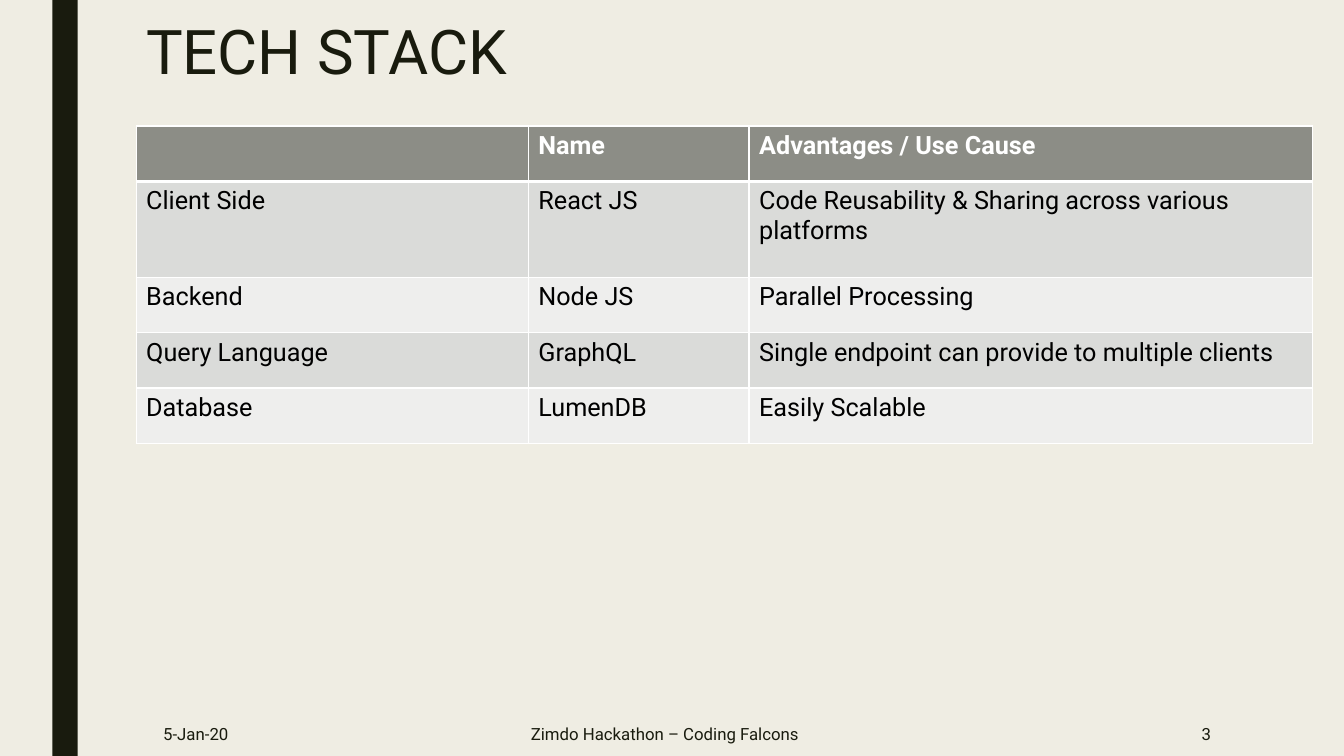
from pptx import Presentation
from pptx.dml.color import RGBColor
from pptx.enum.shapes import MSO_SHAPE
from pptx.enum.text import MSO_ANCHOR, MSO_AUTO_SIZE, PP_ALIGN
from pptx.oxml import parse_xml
from pptx.oxml.ns import nsdecls
from pptx.util import Inches, Pt

CREAM = RGBColor(0xEF, 0xED, 0xE3)
INK = RGBColor(0x19, 0x1B, 0x0E)
HEADER = RGBColor(0x8C, 0x8D, 0x86)
BAND_DARK = RGBColor(0xDA, 0xDB, 0xD9)
BAND_LIGHT = RGBColor(0xEE, 0xEE, 0xED)
WHITE = RGBColor(0xFF, 0xFF, 0xFF)
BLACK = RGBColor(0, 0, 0)


def write(tf, text, size, color, bold=False, align=PP_ALIGN.LEFT):
    p = tf.paragraphs[0]
    p.alignment = align
    r = p.add_run()
    r.text = text
    for name, value in {"name": "Roboto", "size": Pt(size), "bold": bold}.items():
        setattr(r.font, name, value)
    r.font.color.rgb = color
    return p


def add_border(cell, side, width):
    cell._tc.get_or_add_tcPr().append(parse_xml(
        f'<a:ln{side} {nsdecls("a")} w="{Pt(width)}"><a:solidFill>'
        f'<a:srgbClr val="{WHITE}"/></a:solidFill></a:ln{side}>'))


prs = Presentation()
prs.slide_width, prs.slide_height = Inches(13.33), Inches(7.5)
s = prs.slides.add_slide(prs.slide_layouts[5])
s.background.fill.solid()
s.background.fill.fore_color.rgb = CREAM

bar = s.shapes.add_shape(MSO_SHAPE.RECTANGLE, Inches(0.52), 0, Inches(0.25), prs.slide_height)
bar.shadow.inherit = False
bar.fill.solid()
bar.fill.fore_color.rgb = INK
bar.line.fill.background()

left = Inches(1.35)
title = s.shapes.title
box = {"left": left, "top": Inches(0.17), "width": Inches(11.47), "height": Inches(0.84)}
for name, value in box.items():
    setattr(title, name, value)
tf = title.text_frame
for name, value in {"vertical_anchor": MSO_ANCHOR.TOP, "auto_size": MSO_AUTO_SIZE.NONE,
                    "word_wrap": True}.items():
    setattr(tf, name, value)
write(tf, "TECH STACK", 44, INK).line_spacing = 0.89

footer_h = Inches(0.44)
footers = [
    ("5-Jan-20", 1.52, 1.32, PP_ALIGN.LEFT),
    ("Zimdo Hackathon – Coding Falcons", 3.16, 6.87, PP_ALIGN.CENTER),
    ("3", 10.36, 1.75, PP_ALIGN.RIGHT),
]
for text, x, width, align in footers:
    sp = s.shapes.add_textbox(Inches(x), prs.slide_height - footer_h, Inches(width), footer_h)
    tf = sp.text_frame
    tf.word_wrap = True
    tf.vertical_anchor = MSO_ANCHOR.MIDDLE
    write(tf, text, 12, INK, align=align)

rows = [
    ("", "Name", "Advantages / Use Cause"),
    ("Client Side", "React JS", "Code Reusability & Sharing across various platforms"),
    ("Backend", "Node JS", "Parallel Processing"),
    ("Query Language", "GraphQL", "Single endpoint can provide to multiple clients"),
    ("Database", "LumenDB", "Easily Scalable"),
]
col_widths = [3.89, 2.19, 5.59]
row_heights = [0.55, 0.95, 0.55, 0.55, 0.55]
table = s.shapes.add_table(len(rows), len(col_widths), left, Inches(1.25),
                           Inches(sum(col_widths)), Inches(sum(row_heights))).table
for col, width in zip(table.columns, col_widths):
    col.width = Inches(width)
for i, (row, height) in enumerate(zip(rows, row_heights)):
    table.rows[i].height = Inches(height)
    is_header = i == 0
    fill = HEADER if is_header else (BAND_LIGHT, BAND_DARK)[i % 2]
    for j, text in enumerate(row):
        cell = table.cell(i, j)
        for side in "LRTB":
            thick = (i, side) in ((0, "B"), (1, "T"))
            add_border(cell, side, 3 if thick else 1)
        cell.fill.solid()
        cell.fill.fore_color.rgb = fill
        if text:
            write(cell.text_frame, text, 18, WHITE if is_header else BLACK, is_header)

prs.save("out.pptx")
